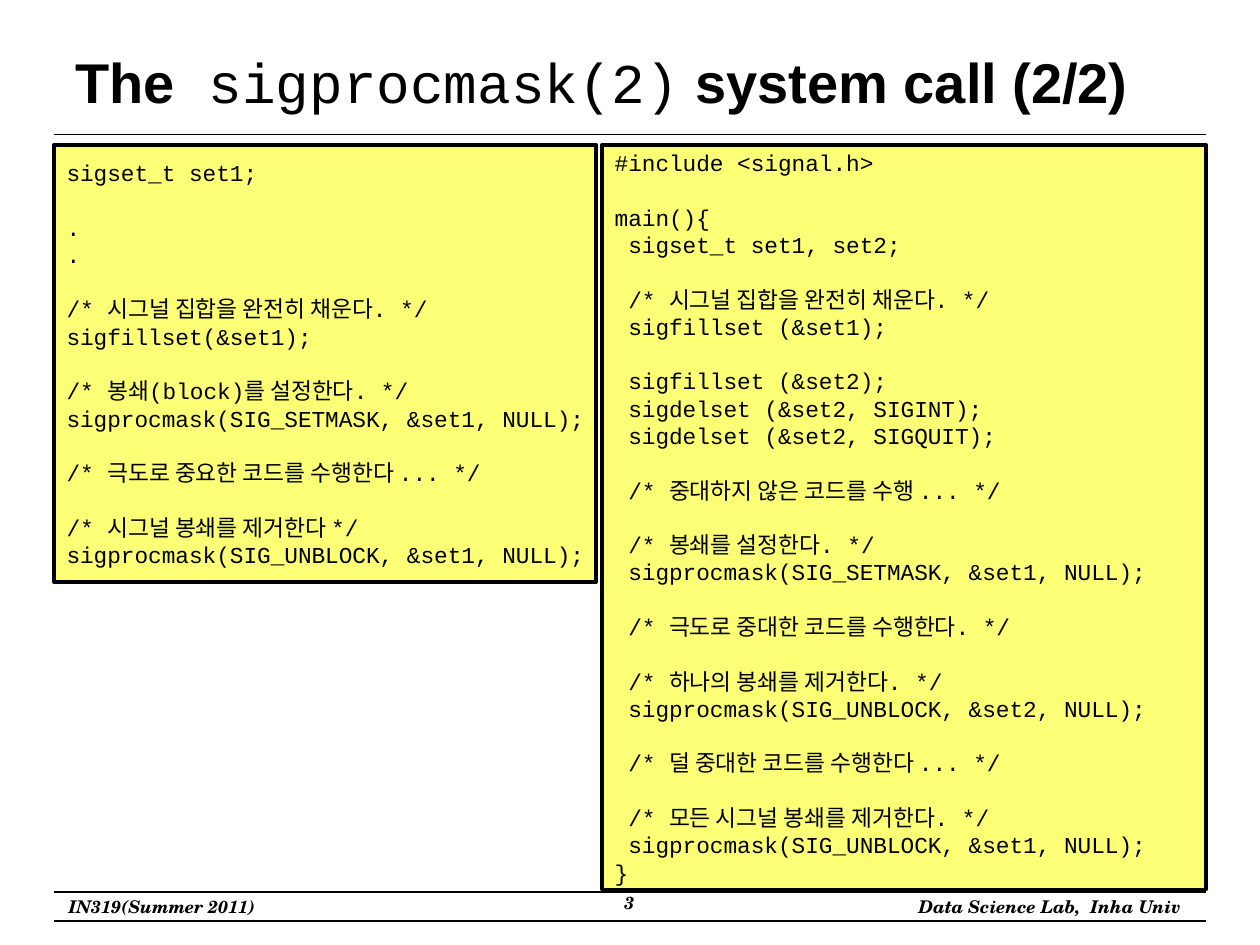
"""Build the sigprocmask(2) system call slide."""
from pptx import Presentation
from pptx.dml.color import RGBColor
from pptx.enum.shapes import MSO_CONNECTOR, MSO_SHAPE
from pptx.enum.text import MSO_ANCHOR, PP_ALIGN
from pptx.oxml.ns import qn
from pptx.util import Inches, Pt
from lxml import etree

BLACK = RGBColor(0x00, 0x00, 0x00)
YELLOW = RGBColor(0xFC, 0xFF, 0x75)
LINE_PITCH = Pt(15.6)

LEFT_CODE = """sigset_t set1;

.
.

/* 시그널 집합을 완전히 채운다. */
sigfillset(&set1);

/* 봉쇄(block)를 설정한다. */
sigprocmask(SIG_SETMASK, &set1, NULL);

/* 극도로 중요한 코드를 수행한다 ... */

/* 시그널 봉쇄를 제거한다 */
sigprocmask(SIG_UNBLOCK, &set1, NULL);"""

RIGHT_CODE = """#include <signal.h>

main(){
 sigset_t set1, set2;

 /* 시그널 집합을 완전히 채운다. */
 sigfillset (&set1);

 sigfillset (&set2);
 sigdelset (&set2, SIGINT);
 sigdelset (&set2, SIGQUIT);

 /* 중대하지 않은 코드를 수행 ... */

 /* 봉쇄를 설정한다. */
 sigprocmask(SIG_SETMASK, &set1, NULL);

 /* 극도로 중대한 코드를 수행한다. */

 /* 하나의 봉쇄를 제거한다. */
 sigprocmask(SIG_UNBLOCK, &set2, NULL);

 /* 덜 중대한 코드를 수행한다 ... */

 /* 모든 시그널 봉쇄를 제거한다. */
 sigprocmask(SIG_UNBLOCK, &set1, NULL);
}"""


def style(r, name, size, bold=False, italic=False):
    r.font.name = name
    r.font.size = Pt(size)
    r.font.bold = bold
    r.font.italic = italic
    r.font.color.rgb = BLACK


prs = Presentation()
prs.slide_width, prs.slide_height = Inches(10), Inches(7.5)
s = prs.slides.add_slide(prs.slide_layouts[6])

for y in (1.07, 7.08, 7.31):
    line = s.shapes.add_connector(
        MSO_CONNECTOR.STRAIGHT, Inches(0.43), Inches(y), Inches(9.57), Inches(y))
    line.line.color.rgb = BLACK
    line.line.width = Pt(0.75)
    etree.SubElement(line._element.spPr, qn("a:effectLst"))

for text, x, y, w, h, align in (
    ("IN319(Summer 2011)", 0.42, 7.06, 1.73, 0.27, PP_ALIGN.CENTER),
    ("Data Science Lab,  Inha Univ", 7.16, 7.06, 2.31, 0.27, PP_ALIGN.RIGHT),
    ("3", 3.83, 7.03, 2.33, 0.31, PP_ALIGN.CENTER),
):
    sp = s.shapes.add_textbox(Inches(x), Inches(y), Inches(w), Inches(h))
    tf = sp.text_frame
    tf.word_wrap = True
    tf.text = text
    p = tf.paragraphs[0]
    p.alignment = align
    style(p.runs[0], "TeX Gyre Schola", 10, bold=True, italic=True)

title = s.shapes.add_textbox(Inches(0.5), Inches(0.3), Inches(9), Inches(0.69))
tf = title.text_frame
tf.word_wrap = True
tf.vertical_anchor = MSO_ANCHOR.MIDDLE
for text, name, bold in (
    ("The", "Arial", True),
    (" sigprocmask(2)", "Courier New", False),
    (" system call (2/2)", "Arial", True),
):
    r = tf.paragraphs[0].add_run()
    r.text = text
    style(r, name, 32, bold)

for code, x, w, h in ((LEFT_CODE, 0.43, 4.3, 3.47), (RIGHT_CODE, 4.78, 4.79, 5.91)):
    sp = s.shapes.add_shape(
        MSO_SHAPE.RECTANGLE, Inches(x), Inches(1.15), Inches(w), Inches(h))
    sp.shadow.inherit = False
    sp.fill.solid()
    sp.fill.fore_color.rgb = YELLOW
    sp.line.color.rgb = BLACK
    sp.line.width = Pt(2.25)
    tf = sp.text_frame
    tf.word_wrap = True
    tf.margin_right = 0
    tf.vertical_anchor = MSO_ANCHOR.MIDDLE
    for i, block in enumerate(code.split("\n\n")):
        for j, text in enumerate(block.split("\n")):
            p = tf.add_paragraph() if i or j else tf.paragraphs[0]
            p.text = text
            p.alignment = PP_ALIGN.LEFT
            p.line_spacing = LINE_PITCH
            p.space_before = LINE_PITCH if i and not j else Pt(0)
            style(p.runs[0], "Courier New", 13)

prs.save("out.pptx")
